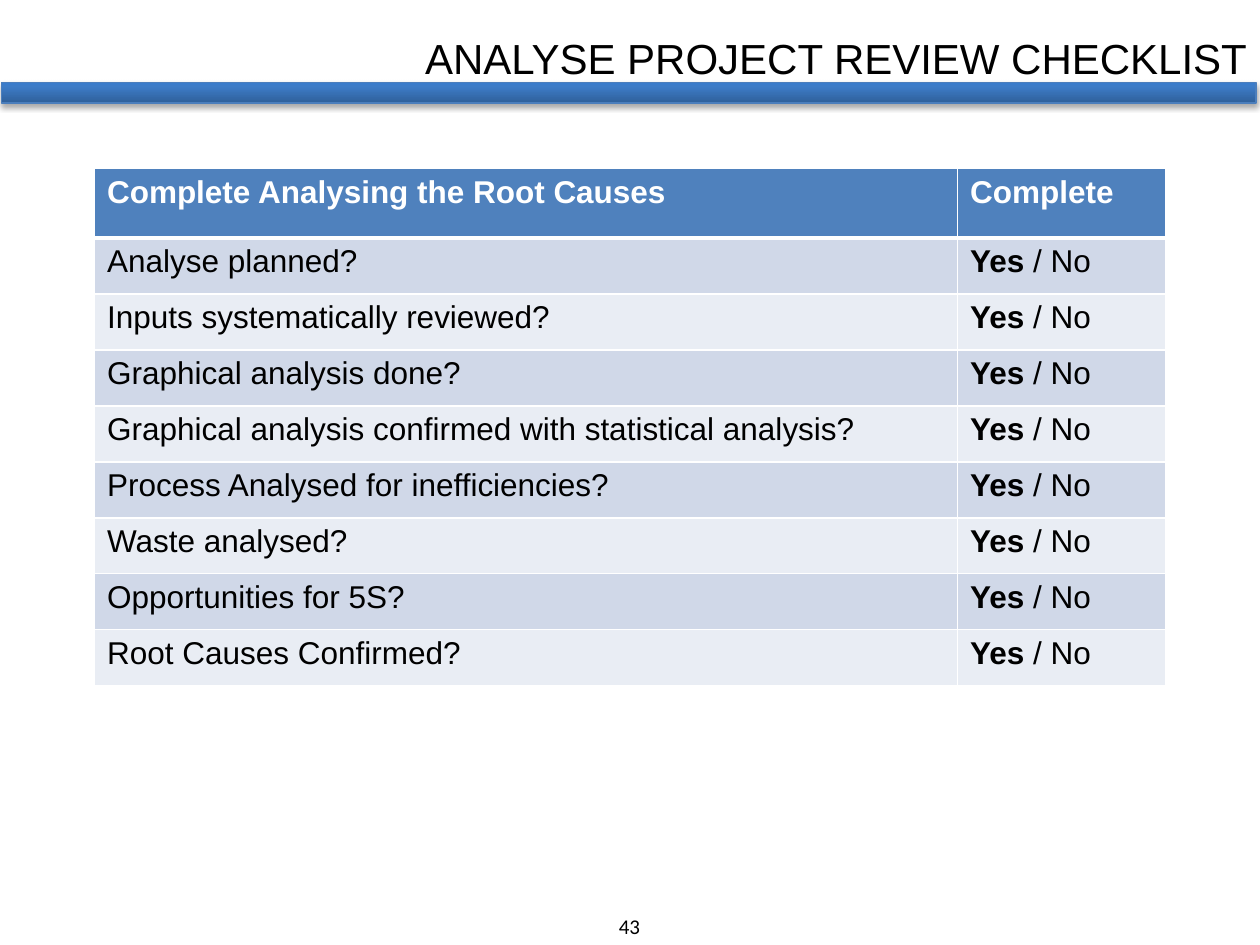
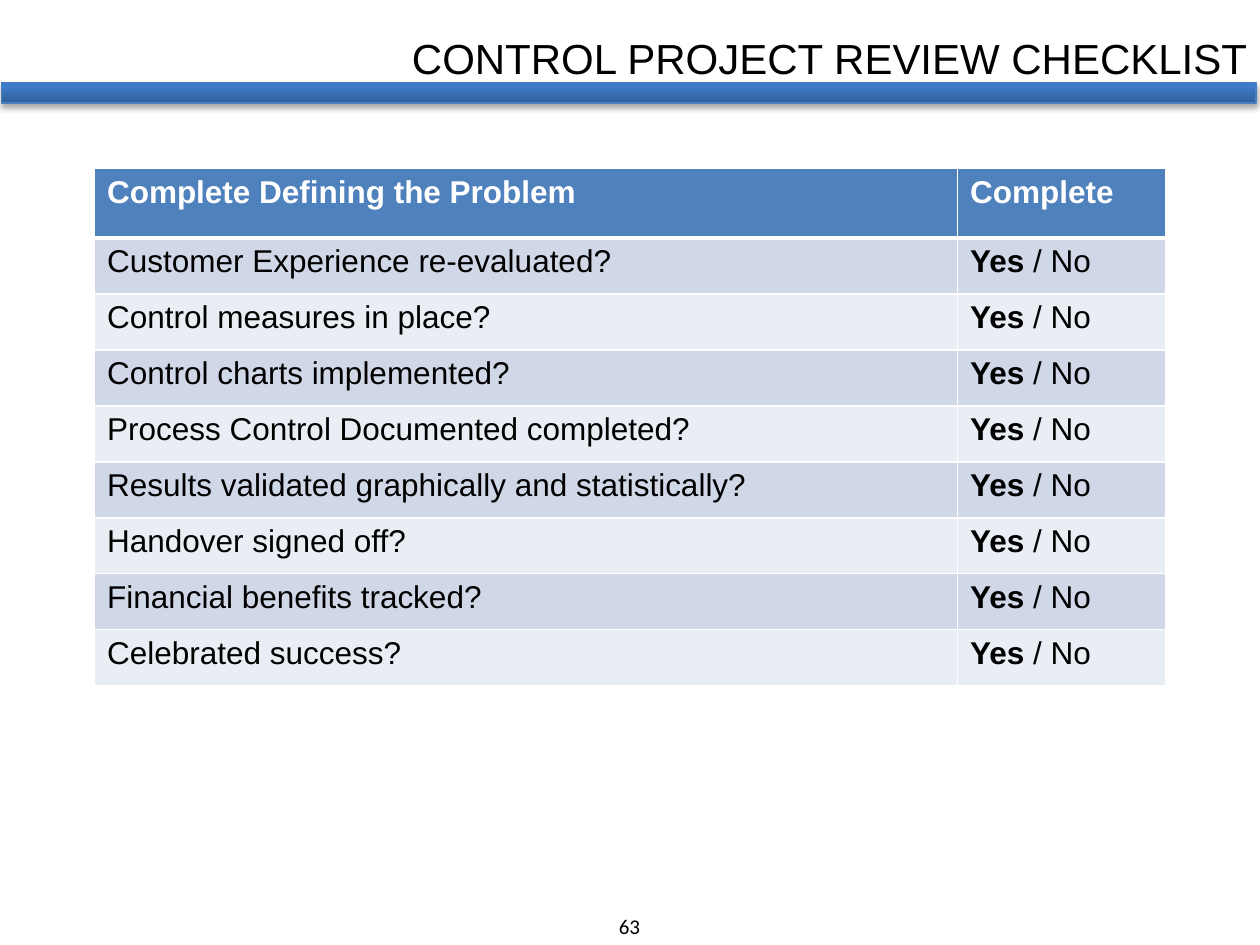
from lxml.etree import SubElement
from pptx import Presentation
from pptx.dml.color import RGBColor
from pptx.enum.shapes import MSO_SHAPE as Shape
from pptx.enum.text import MSO_ANCHOR as Anchor, MSO_AUTO_SIZE as AutoSize, PP_ALIGN as Align
from pptx.oxml import parse_xml
from pptx.oxml.ns import nsdecls, qn
from pptx.util import Pt

CHECKLISTS = [
    {
        "title": "ANALYSE PROJECT REVIEW CHECKLIST",
        "page": "43",
        "heading": "Complete Analysing the Root Causes",
        "questions": [
            "Analyse planned?",
            "Inputs systematically reviewed?",
            "Graphical analysis done?",
            "Graphical analysis confirmed with statistical analysis?",
            "Process Analysed for inefficiencies?",
            "Waste analysed?",
            "Opportunities for 5S?",
            "Root Causes Confirmed?",
        ],
    },
    {
        "title": "CONTROL PROJECT REVIEW CHECKLIST",
        "page": "63",
        "heading": "Complete Defining the Problem",
        "questions": [
            "Customer Experience re-evaluated?",
            "Control measures in place?",
            "Control charts implemented?",
            "Process Control Documented completed?",
            "Results validated graphically and statistically?",
            "Handover signed off?",
            "Financial benefits tracked?",
            "Celebrated success?",
        ],
    },
]
STATUS_HEADING = "Complete"
ANSWER = [("Yes", True), (" / No", False)]

BLACK, WHITE = "000000", "FFFFFF"
HEADER_FILL = "4F81BD"
ROW_FILLS = ["D0D8E8", "E9EDF4"]
BAND_STOPS = [(0, "2F5F99"), (80, "3D7CC7"), (100, "3A7CCB")]
BAND_LINE = "4B7EBC"

TITLE_BOX = (206.6, 15.1, 513.4, 36)
BAND_BOX = (0.7, 47.2, 717.1, 11.8)
PAGE_BOX = (337, 518.4, 45.4, 21.6)
TABLE_LEFT, TABLE_TOP = 54, 96.4
COLUMN_WIDTHS = [493.2, 118.8]
HEADER_HEIGHT, ROW_HEIGHT = 39.6, 32


def rgb(color):
    return RGBColor.from_string(color)


def pts(box):
    return [Pt(v) for v in box]


def write(tf, text, size=18, font="Arial", color=BLACK, bold=False, align=Align.LEFT):
    """Fill the first paragraph; text is a string or a list of (text, bold) runs."""
    p = tf.paragraphs[0]
    p.alignment = align
    for part, is_bold in [(text, bold)] if isinstance(text, str) else text:
        r = p.add_run()
        r.text = part
        r.font.name, r.font.size, r.font.bold = font, Pt(size), is_bold
        r.font.color.rgb = rgb(color)


def add_band(s):
    sp = s.shapes.add_shape(Shape.RECTANGLE, *pts(BAND_BOX))
    sp.line.color.rgb = rgb(BAND_LINE)
    sp.line.width = Pt(0.75)
    sp.shadow.inherit = False
    stops = "".join(f'<a:gs pos="{pos * 1000}"><a:srgbClr val="{color}"/></a:gs>'
                    for pos, color in BAND_STOPS)
    props = sp._element.spPr
    props.find(qn("a:prstGeom")).addnext(parse_xml(
        f'<a:gradFill {nsdecls("a")} rotWithShape="1"><a:gsLst>{stops}</a:gsLst>'
        '<a:lin ang="16200000" scaled="0"/></a:gradFill>'))
    props.find(qn("a:effectLst")).append(parse_xml(
        f'<a:outerShdw {nsdecls("a")} blurRad="{Pt(3.1)}" dist="{Pt(1.8)}" dir="5400000" '
        f'rotWithShape="0"><a:srgbClr val="{BLACK}"><a:alpha val="35000"/></a:srgbClr>'
        '</a:outerShdw>'))


def add_title(s, text):
    title = s.shapes.title
    title.left, title.top, title.width, title.height = pts(TITLE_BOX)
    tf = title.text_frame
    tf.word_wrap, tf.auto_size, tf.vertical_anchor = True, AutoSize.NONE, Anchor.TOP
    write(tf, text, size=24, align=Align.RIGHT)


def add_page_number(s, number):
    tf = s.shapes.add_textbox(*pts(PAGE_BOX)).text_frame
    tf.word_wrap = True
    write(tf, number, size=12, font="Calibri", align=Align.CENTER)


def format_cell(cell, fill, top=1, bottom=1):
    """Set the fill and the white borders, with top and bottom widths in points."""
    props = cell._tc.get_or_add_tcPr()
    for side, width in zip("LRTB", (1, 1, top, bottom)):
        ln = SubElement(props, qn(f"a:ln{side}"), w=str(Pt(width)))
        SubElement(SubElement(ln, qn("a:solidFill")), qn("a:srgbClr"), val=WHITE)
    cell.fill.solid()
    cell.fill.fore_color.rgb = rgb(fill)


def add_checklist(s, heading, questions):
    rows = [(heading, STATUS_HEADING)] + [(q, ANSWER) for q in questions]
    heights = [HEADER_HEIGHT] + [ROW_HEIGHT] * len(questions)
    box = (TABLE_LEFT, TABLE_TOP, sum(COLUMN_WIDTHS), sum(heights))
    table = s.shapes.add_table(len(rows), len(COLUMN_WIDTHS), *pts(box)).table
    for column, width in zip(table.columns, COLUMN_WIDTHS):
        column.width = Pt(width)
    for i, (texts, height) in enumerate(zip(rows, heights)):
        table.rows[i].height = Pt(height)
        is_header = i == 0
        fill = HEADER_FILL if is_header else ROW_FILLS[(i - 1) % 2]
        for j, text in enumerate(texts):
            cell = table.cell(i, j)
            format_cell(cell, fill, top=3 if i == 1 else 1, bottom=3 if is_header else 1)
            write(cell.text_frame, text, color=WHITE if is_header else BLACK, bold=is_header)


def main():
    prs = Presentation()
    prs.slide_width, prs.slide_height = Pt(720), Pt(540)
    for checklist in CHECKLISTS:
        s = prs.slides.add_slide(prs.slide_layouts[5])
        add_page_number(s, checklist["page"])
        add_band(s)
        add_title(s, checklist["title"])
        add_checklist(s, checklist["heading"], checklist["questions"])
    prs.save("out.pptx")


if __name__ == "__main__":
    main()
